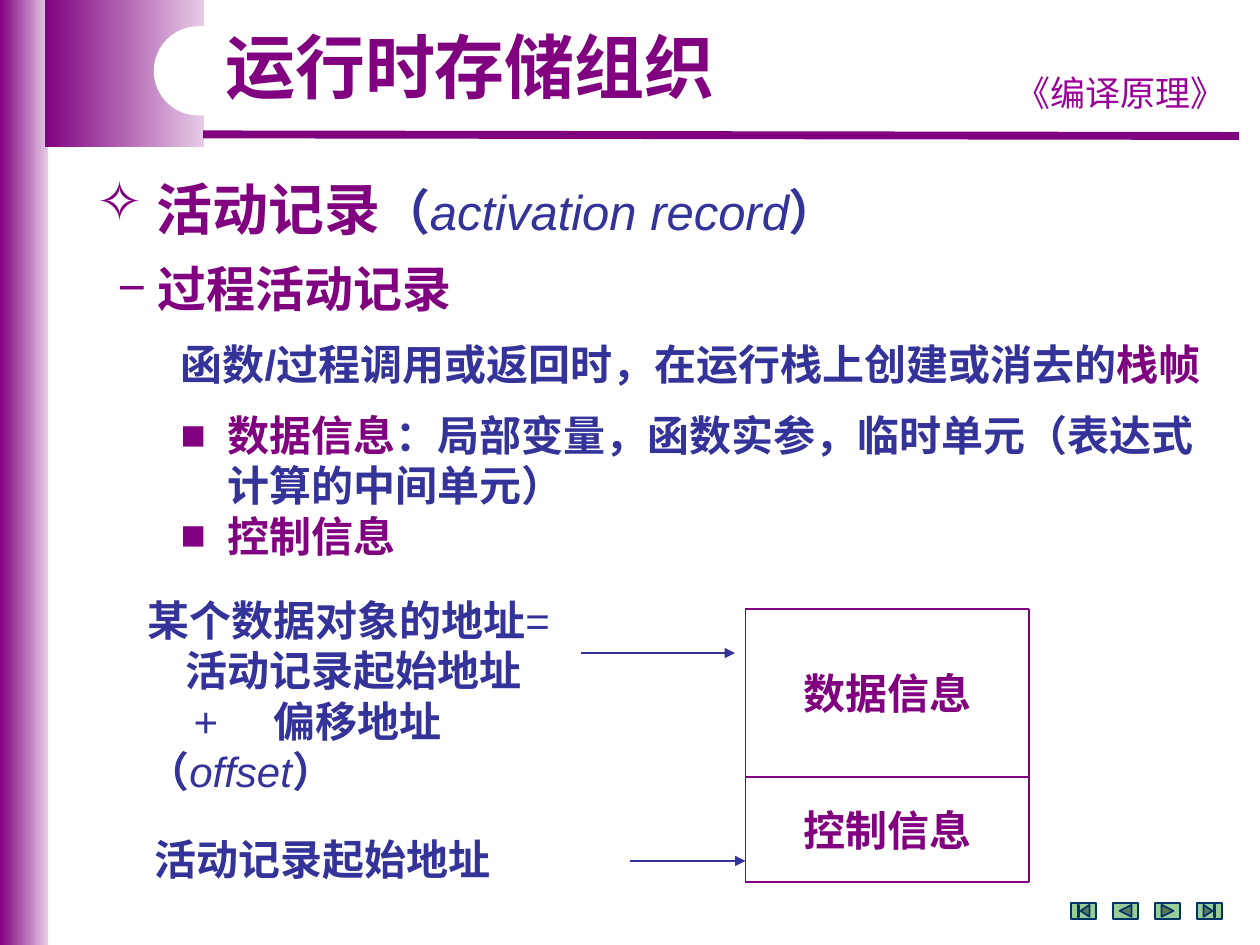
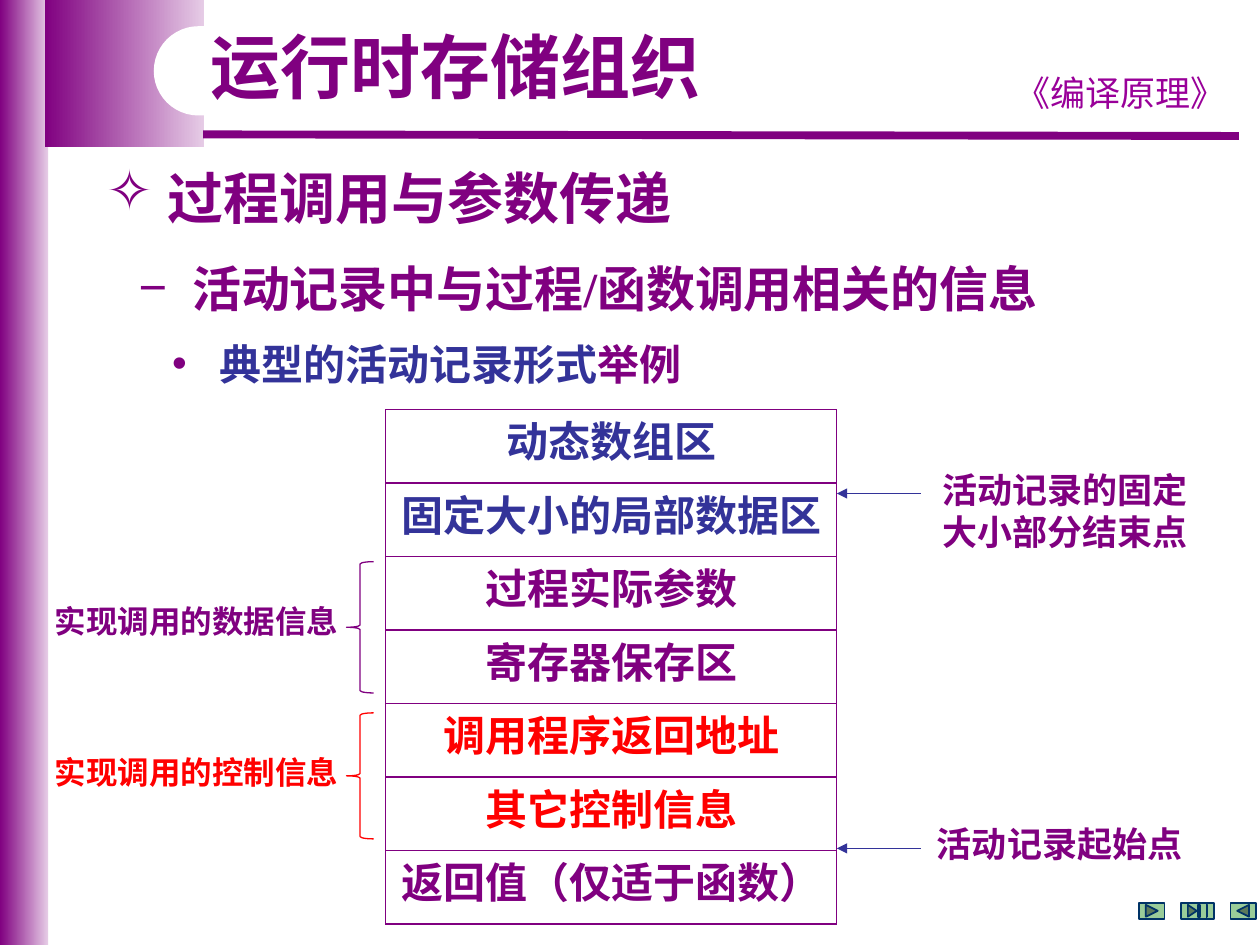
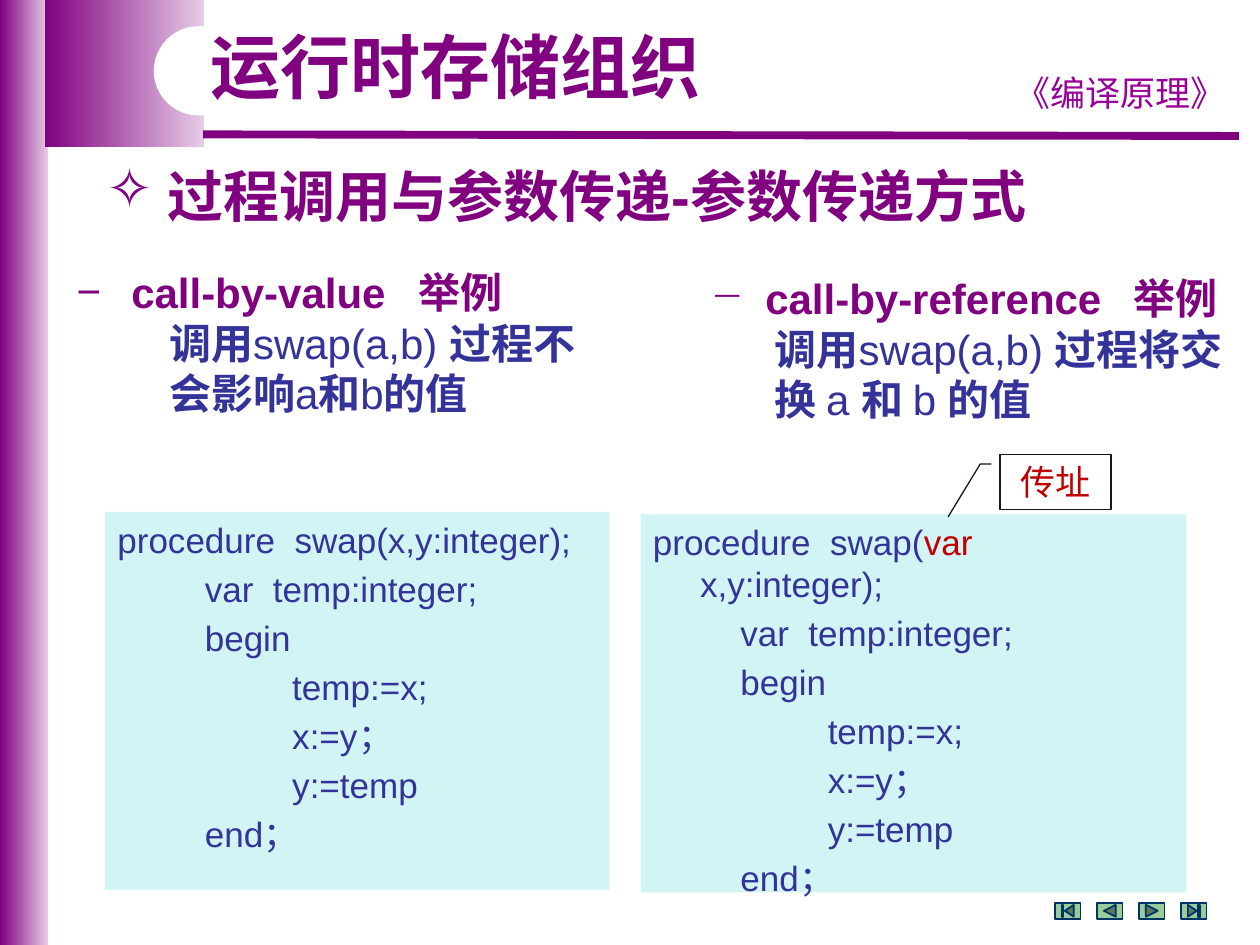
from dataclasses import dataclass

from pptx import Presentation
from pptx.dml.color import RGBColor
from pptx.enum.shapes import MSO_CONNECTOR, MSO_SHAPE
from pptx.enum.text import MSO_ANCHOR, MSO_AUTO_SIZE, PP_ALIGN
from pptx.oxml.ns import qn
from pptx.util import Emu, Inches, Pt
from lxml.etree import SubElement


@dataclass(frozen=True)
class Theme:
    """Colours, type sizes and faces of the deck."""
    plum: str = "800080"
    pale: str = "E6CCE6"
    navy: str = "333399"
    red: str = "FF0000"
    brick: str = "C00000"
    tag: str = "990099"
    aqua: str = "D2F4F4"
    green: str = "99CC99"
    teal: str = "003366"
    ink: str = "0F1C0F"
    white: str = "FFFFFF"
    title: int = 40
    head: int = 32
    topic: int = 28
    text: int = 24
    note: int = 20
    small: int = 18
    sans: str = "Arial"
    serif: str = "Times New Roman"
    hand: str = "Comic Neue"
    east: str = "Noto Sans CJK SC"


T = Theme()
COLS, ROWS = 120, 90


@dataclass
class Run:
    """A stretch of text in one style."""
    text: str
    ink: str = T.plum
    size: int = T.text
    bold: bool = True
    slant: bool = False
    face: str = T.sans


@dataclass
class Para:
    """A paragraph, with indents in grid columns."""
    runs: list
    left: float = 0
    first: float = 0
    mark: str = ""
    gap: float = 0
    tab: float = 0
    level: int = 0
    align: PP_ALIGN = PP_ALIGN.LEFT
    pitch: float = 1.0


def mid(text, ink=T.plum, size=T.text):
    """Return a centred bold paragraph."""
    return Para([Run(text, ink, size)], align=PP_ALIGN.CENTER)


def plain(text, ink=T.navy, size=T.text):
    """Return a run that is not bold."""
    return Run(text, ink, size, bold=False)


class Deck:
    """Holds the style and the current slide."""

    def __init__(self):
        self.prs = Presentation()
        self.prs.slide_width, self.prs.slide_height = Inches(10), Inches(7.5)
        self.layout = self.prs.slide_layouts[1]
        self.slide = None

    def x(self, cols):
        """Turn grid columns into a length."""
        return Emu(round(self.prs.slide_width * cols / COLS))

    def y(self, rows):
        """Turn grid rows into a length."""
        return Emu(round(self.prs.slide_height * rows / ROWS))

    def box(self, at):
        """Turn a grid box into four lengths."""
        left, top, width, height = at
        return self.x(left), self.y(top), self.x(width), self.y(height)

    def page(self, left):
        """Open a slide with its title."""
        self.slide = self.prs.slides.add_slide(self.layout)
        name = Run("运行时存储组织", size=T.title)
        self.place(self.slide.shapes.title, (left, 2.5, 49.7, 8.4),
                   [Para([name], pitch=0.9)])

    def brand(self):
        """Draw the shared band, rule and tag, then move them to the layout."""
        parts = [
            self.shape(MSO_SHAPE.RECTANGLE, (0, 0, 4.6, ROWS), T.plum, fade=T.pale),
            self.shape(MSO_SHAPE.RECTANGLE, (4.25, 0, 15.2, 14), T.plum, fade=T.pale),
            self.line((19.35, 12.8), (118, 12.95), T.plum, 4.5),
            self.text((94.9, 6.25, 23.65, 5.2),
                      [Para([Run("《编译原理》", T.tag, T.note, False, face=T.hand)],
                            align=PP_ALIGN.CENTER)]),
            self.shape(MSO_SHAPE.ROUNDED_RECTANGLE, (14.65, 2.5, 43.4, 8.5), T.white),
        ]
        parts[-1].adjustments[0] = 0.5
        for part in parts:
            self.layout.shapes.element.append(part.element)

    def pour(self, frame, paras):
        """Put paragraphs into a text frame."""
        frame.word_wrap = True
        frame.auto_size = MSO_AUTO_SIZE.NONE
        frame.vertical_anchor = MSO_ANCHOR.TOP
        for i, item in enumerate(paras):
            para = frame.add_paragraph() if i else frame.paragraphs[0]
            props = para._p.get_or_add_pPr()
            props.set("marL", str(self.x(item.left)))
            props.set("indent", str(self.x(item.first)))
            if item.mark:
                tint = SubElement(props, qn("a:buClr"))
                SubElement(tint, qn("a:srgbClr"), val=T.plum)
                SubElement(props, qn("a:buChar"), char=item.mark)
            else:
                SubElement(props, qn("a:buNone"))
            if item.tab:
                stops = SubElement(props, qn("a:tabLst"))
                SubElement(stops, qn("a:tab"), pos=str(self.x(item.tab)), algn="l")
            para.level = item.level
            para.alignment = item.align
            para.line_spacing = item.pitch
            para.space_before = Pt(item.gap)
            for part in item.runs:
                run = para.add_run()
                run.text = part.text
                font = run.font
                font.name, font.size = part.face, Pt(part.size)
                font.bold, font.italic = part.bold, part.slant
                font.color.rgb = RGBColor.from_string(part.ink)

    def place(self, holder, at, paras):
        """Move a placeholder and fill in its text."""
        holder.left, holder.top, holder.width, holder.height = self.box(at)
        self.pour(holder.text_frame, paras)

    def body(self, at, paras):
        """Fill the body placeholder."""
        self.place(self.slide.placeholders[1], at, paras)

    def text(self, at, paras):
        """Add a text box."""
        area = self.slide.shapes.add_textbox(*self.box(at))
        self.pour(area.text_frame, paras)
        return area

    def head(self, at, runs):
        """Add the star-marked heading."""
        self.text(at, [Para(runs, 5.75, -5.75, "✧")])

    def shape(self, kind, at, fill=None, edge=None, width=0.75, fade=None):
        """Add a preset shape."""
        form = self.slide.shapes.add_shape(kind, *self.box(at))
        form.shadow.inherit = False
        if fade:
            form.fill.gradient()
            form.fill.gradient_angle = 0
            for stop, tint in zip(form.fill.gradient_stops, (fill, fade)):
                stop.color.rgb = RGBColor.from_string(tint)
        elif fill:
            form.fill.solid()
            form.fill.fore_color.rgb = RGBColor.from_string(fill)
        else:
            form.fill.background()
        if edge:
            form.line.color.rgb = RGBColor.from_string(edge)
            form.line.width = Pt(width)
        else:
            form.line.fill.background()
        return form

    def line(self, start, end, ink=T.plum, width=0.75, arrow=False):
        """Add a straight line or an arrow."""
        wire = self.slide.shapes.add_connector(
            MSO_CONNECTOR.STRAIGHT, self.x(start[0]), self.y(start[1]),
            self.x(end[0]), self.y(end[1]))
        wire.line.color.rgb = RGBColor.from_string(ink)
        wire.line.width = Pt(width)
        props = wire.element.spPr
        if arrow:
            SubElement(props.find(qn("a:ln")), qn("a:tailEnd"), type="triangle")
        SubElement(props, qn("a:effectLst"))
        return wire

    def arrow(self, start, end):
        """Add a navy arrow."""
        self.line(start, end, T.navy, arrow=True)

    def stack(self, left, right, tops):
        """Rule a column of cells."""
        for side in (left, right):
            self.line((side, tops[0]), (side, tops[-1]))
        for top in tops:
            self.line((left, top), (right, top))

    def keys(self, first, back, ahead, last):
        """Add the four paging buttons at the given columns."""
        kinds = {
            MSO_SHAPE.ACTION_BUTTON_FORWARD_OR_NEXT: ahead,
            MSO_SHAPE.ACTION_BUTTON_BACK_OR_PREVIOUS: back,
            MSO_SHAPE.ACTION_BUTTON_BEGINNING: first,
            MSO_SHAPE.ACTION_BUTTON_END: last,
        }
        for kind, left in kinds.items():
            self.shape(kind, (left, 86, 2.4, 1.5), T.green, T.teal, 1)

    def code(self, at, start):
        """Add a code panel for the swap procedure."""
        rest = ["         var  temp:integer;", "         begin",
                "                  temp:=x;", "                  x:=y；",
                "                  y:=temp", "         end；"]
        rows = [start] + [[plain(row, size=T.note)] for row in rest]
        panel = self.shape(MSO_SHAPE.RECTANGLE, at, T.aqua)
        self.pour(panel.text_frame,
                  [Para(row, 4.5, -4.5, gap=4 if i else 0)
                   for i, row in enumerate(rows)])


def record(deck):
    """Build the slide on activation records."""
    deck.page(20.25)
    deck.brand()
    deck.head((8, 16, 88, 7.6), [
        Run("活动记录", size=T.head), Run("（", T.navy, T.topic),
        Run("activation record", T.navy, T.topic, False, True),
        Run("）", T.navy, T.topic)])
    deck.body((10, 24, 108.5, 30.25), [
        Para([Run("过程活动记录", size=T.topic, face=T.serif)], 3.8, -3.8, "−"),
        Para([Run("函数/过程调用或返回时，在运行栈上创建或消去的", T.navy),
              Run("栈帧")], 6, gap=12, level=1),
        Para([Run("数据信息"),
              Run("：局部变量，函数实参，临时单元（表达式计算的中间单元）", T.navy)],
             10.5, -4.5, "■", 12, level=1),
        Para([Run("控制信息")], 10.5, -4.5, "■", level=1)])
    deck.stack(71, 98, (58, 74, 84))
    for top, name in ((76, "控制信息"), (63, "数据信息")):
        deck.text((75.25, top, 18.5, 6), [mid(name)])
    deck.arrow((60, 82), (71, 82))
    deck.text((9, 78.75, 54.8, 6), [Para([Run("活动记录起始地址", T.navy)], 4.5)])
    deck.arrow((55.3, 62.2), (70, 62.2))
    deck.text((12.85, 56, 44.5, 20), [
        Para([Run("某个数据对象的地址", T.navy), plain("=")]),
        Para([Run("活动记录起始地址", T.navy)], 3.6),
        Para([plain("+\t"), Run("偏移地址（", T.navy),
              Run("offset", T.navy, bold=False, slant=True), Run("）", T.navy)],
             first=4.4, tab=10)])
    deck.keys(102, 106, 110, 114)


def call(deck):
    """Build the slide on the layout of a record."""
    deck.page(18.85)
    deck.head((9, 15, 88, 7.6), [Run("过程调用与参数传递", size=T.head)])
    deck.body((12, 24, 103, 13.6), [
        Para([Run("活动记录中与过程/函数调用相关的信息", size=T.topic, face=T.serif)],
             5.1, -5.1, "−"),
        Para([Run("典型的活动记录形式", T.navy), Run("举例")],
             7.7, -4.5, "•", 12, level=1)])
    left, right, top, step = 36.7, 79.7, 39, 7
    cells = [("动态数组区", T.navy), ("固定大小的局部数据区", T.navy),
             ("过程实际参数", T.plum), ("寄存器保存区", T.plum),
             ("调用程序返回地址", T.red), ("其它控制信息", T.red),
             ("返回值（仅适于函数）", T.plum)]
    deck.stack(left, right, [top + step * i for i in range(len(cells) + 1)])
    for i, (name, ink) in enumerate(cells):
        deck.text((left, top + step * i, right - left, 6), [mid(name, ink)])
    for level in (47, 80.8):
        deck.arrow((87.7, level), (right, level))
    deck.text((86.65, 77.75, 28.55, 5.2), [mid("活动记录起始点", size=T.note)])
    deck.text((87.7, 44, 27.5, 9.25),
              [mid("活动记录的固定大小部分结束点", size=T.note)])
    for low, tall, name, ink in ((67.9, 12, "实现调用的控制信息", T.red),
                                 (53.5, 12.5, "实现调用的数据信息", T.plum)):
        deck.shape(MSO_SHAPE.LEFT_BRACE, (33, low, 2.6, tall), edge=ink)
        deck.text((3, low + 3.2, 31.45, 4.8), [mid(name, ink, T.small)])
    deck.keys(113.2, 117.2, 108.5, 112.5)


def swap(deck):
    """Build the slide on passing by value and by reference."""
    deck.page(18.85)
    deck.head((9, 14.8, 101, 7.7), [
        Run("过程调用与参数传递-", size=T.head),
        Run("参数传递方式", size=T.head, face=T.serif)])
    deck.body((6.1, 24.8, 60.4, 16.5), [
        Para([Run("call-by-value\t举例")], 5.2, -5.2, "−", tab=32.6),
        Para([Run("调用", T.navy), plain("swap(a,b) "), Run("过程不", T.navy)],
             8.8, level=1),
        Para([Run("会影响", T.navy), plain("a"), Run("和", T.navy), plain("b"),
              Run("的值", T.navy)], 8.8, level=1)])
    deck.text((66.5, 25.4, 52, 16.5), [
        Para([Run("call-by-reference\t举例")], 5.2, -5.2, "−", tab=40.3),
        Para([Run("调用", T.navy), plain("swap(a,b) "), Run("过程将交换 ", T.navy),
              plain("a "), Run("和 ", T.navy), plain("b "), Run("的值", T.navy)],
             6.1, level=1)])
    deck.code((61, 49, 52, 36), [
        plain("procedure  swap(", size=T.note), plain("var  ", T.brick, T.note),
        plain("x,y:integer);", size=T.note)])
    deck.code((10, 48.75, 48, 36),
              [plain("procedure  swap(x,y:integer);", size=T.note)])
    deck.keys(100.5, 104.5, 108.5, 112.5)
    note = deck.shape(MSO_SHAPE.LINE_CALLOUT_2, (95.25, 43.25, 10.55, 5.25),
                      edge=T.ink)
    for i, share in enumerate((0.18, -0.08, 0.18, -0.18, 1.14, -0.47)):
        note.adjustments[i] = share
    deck.pour(note.text_frame, [
        Para([Run("传址", T.brick, T.note, False, face=T.east)],
             align=PP_ALIGN.CENTER)])


def main():
    """Build and save the deck."""
    deck = Deck()
    for build in (record, call, swap):
        build(deck)
    deck.prs.save("out.pptx")


if __name__ == "__main__":
    main()
